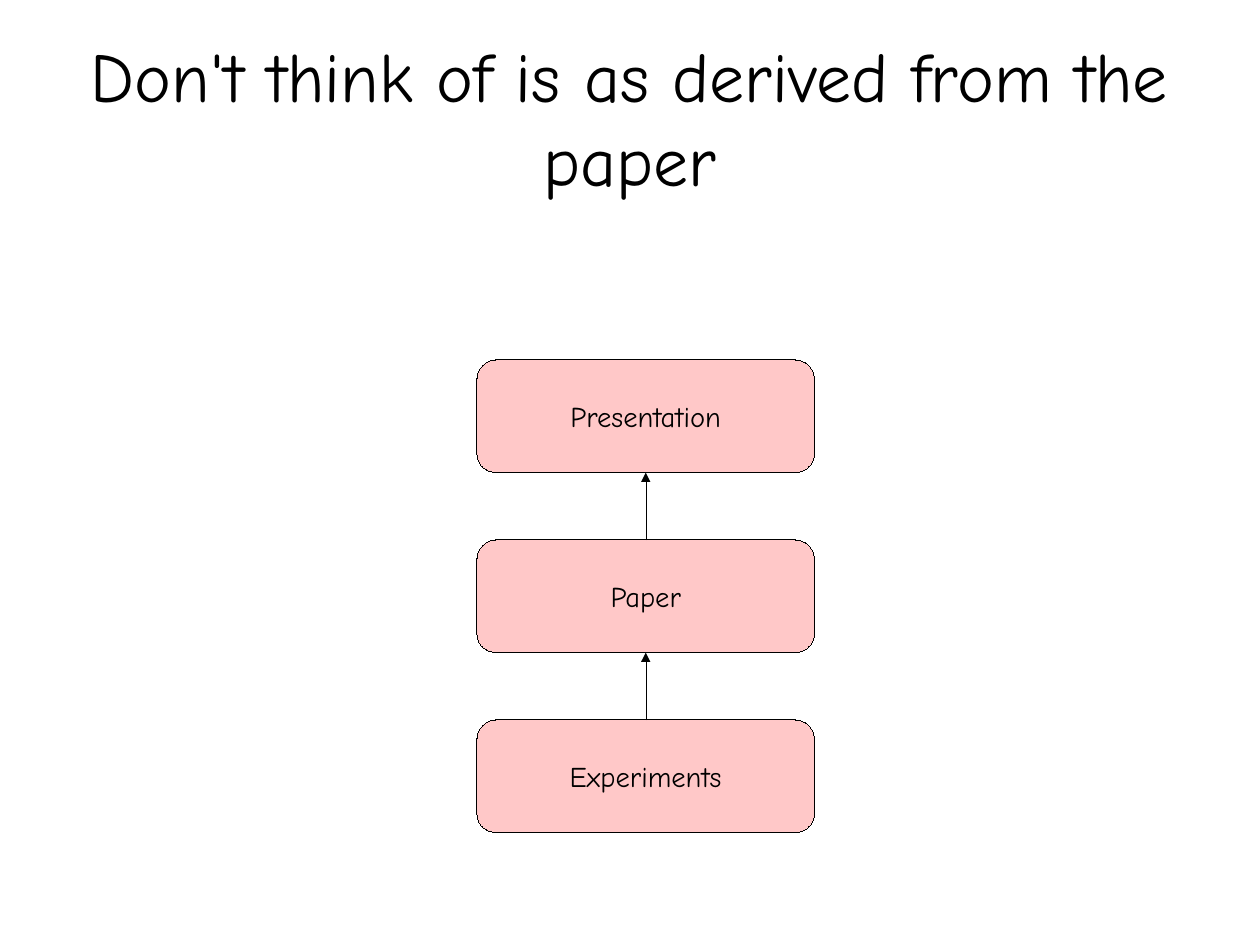
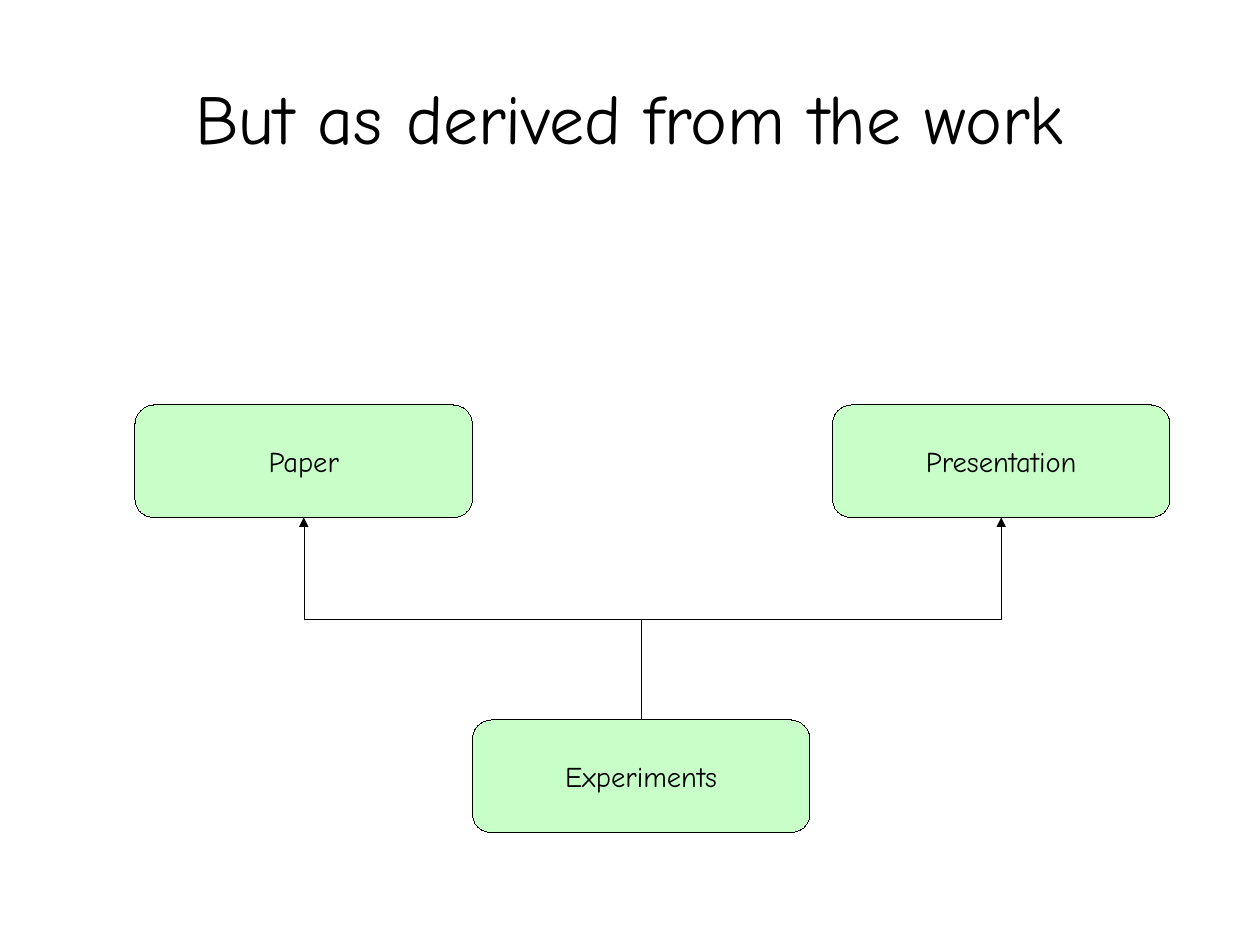
from dataclasses import dataclass

import pptx
import pptx.dml.color
import pptx.dml.line
import pptx.enum.shapes
import pptx.enum.text
import pptx.oxml
import pptx.oxml.ns
import pptx.presentation
import pptx.shapes.autoshape
import pptx.slide
import pptx.text.text
import pptx.util

# Grid of one-centimetre cells
COLUMNS, ROWS = 28, 21
BOX_COLUMNS, BOX_ROWS = 7.5, 2.5

# Shared style
FONT = "Comic Neue"
BLACK, PINK, GREEN = "000000", "FFC8C8", "C8FFC8"
TITLE_SIZE, LABEL_SIZE = 44, 18
TITLE_MARGIN = 0.05 * COLUMNS
TITLE_MIDDLE = 2.59
HAIRLINE = 0.01
CORNER = 0.167
TOP_SITE, BOTTOM_SITE = 0, 2


@dataclass(frozen=True)
class Node:
    label: str
    column: float
    row: float


@dataclass(frozen=True)
class Diagram:
    title: str
    title_rows: float
    fill: str
    nodes: tuple[Node, ...]
    arrows: tuple[tuple[str, str], ...]


DIAGRAMS = (
    Diagram(
        "Don't think of is as derived from the paper", 4.32, PINK,
        tuple(Node(label, 10.6, 8 + 4 * step)
              for step, label in enumerate(("Presentation", "Paper", "Experiments"))),
        (("Experiments", "Paper"), ("Paper", "Presentation")),
    ),
    Diagram(
        "But as derived from the work", 3.25, GREEN,
        (Node("Paper", 3, 9), Node("Presentation", 18.5, 9), Node("Experiments", 10.5, 16)),
        (("Experiments", "Paper"), ("Experiments", "Presentation")),
    ),
)


def cells(count: float) -> pptx.util.Length:
    return pptx.util.Cm(count)


def color(value: str) -> pptx.dml.color.RGBColor:
    return pptx.dml.color.RGBColor.from_string(value)


def draw_hairline(line: pptx.dml.line.LineFormat) -> None:
    line.color.rgb = color(BLACK)
    line.width = pptx.util.Pt(HAIRLINE)


def write(frame: pptx.text.text.TextFrame, text: str, size: int) -> None:
    """Set centred text in the shared font."""
    frame.text = text
    frame.word_wrap = True
    frame.vertical_anchor = pptx.enum.text.MSO_ANCHOR.MIDDLE
    para = frame.paragraphs[0]
    para.alignment = pptx.enum.text.PP_ALIGN.CENTER
    for span in para.runs:
        span.font.name = FONT
        span.font.size = pptx.util.Pt(size)
        span.font.color.rgb = color(BLACK)


def add_title(page: pptx.slide.Slide, text: str, rows: float) -> None:
    title = page.shapes.title
    title.left, title.top = cells(TITLE_MARGIN), cells(TITLE_MIDDLE - rows / 2)
    title.width, title.height = cells(COLUMNS - 2 * TITLE_MARGIN), cells(rows)
    frame = title.text_frame
    frame.margin_left = frame.margin_right = frame.margin_top = frame.margin_bottom = 0
    write(frame, text, TITLE_SIZE)
    frame.auto_size = pptx.enum.text.MSO_AUTO_SIZE.SHAPE_TO_FIT_TEXT


def add_node(page: pptx.slide.Slide, node: Node, fill: str) -> pptx.shapes.autoshape.Shape:
    box = page.shapes.add_shape(
        pptx.enum.shapes.MSO_SHAPE.ROUNDED_RECTANGLE,
        cells(node.column), cells(node.row), cells(BOX_COLUMNS), cells(BOX_ROWS))
    box.adjustments[0] = CORNER
    box.shadow.inherit = False
    box.fill.solid()
    box.fill.fore_color.rgb = color(fill)
    draw_hairline(box.line)
    write(box.text_frame, node.label, LABEL_SIZE)
    return box


def add_arrow(page: pptx.slide.Slide, source: pptx.shapes.autoshape.Shape,
              target: pptx.shapes.autoshape.Shape) -> None:
    """Join the top of source to the bottom of target, with an elbow if they are offset."""
    start_x, start_y = source.left + source.width // 2, source.top
    end_x, end_y = target.left + target.width // 2, target.top + target.height
    kinds = pptx.enum.shapes.MSO_CONNECTOR
    bent = start_x != end_x
    arrow = page.shapes.add_connector(
        kinds.ELBOW if bent else kinds.STRAIGHT, start_x, start_y, end_x, end_y)
    arrow.begin_connect(source, TOP_SITE)
    arrow.end_connect(target, BOTTOM_SITE)
    draw_hairline(arrow.line)
    properties = arrow._element.spPr

    # A quarter turn makes the elbow leave and arrive vertically
    if bent:
        rise, run = abs(start_y - end_y), abs(start_x - end_x)
        arrow.left = (start_x + end_x - rise) // 2
        arrow.top = (start_y + end_y - run) // 2
        arrow.width, arrow.height = rise, run
        frame = properties.find(pptx.oxml.ns.qn("a:xfrm"))
        frame.set("rot", str(270 * 60000))
        frame.set("flipH", "0")
        frame.set("flipV", "1" if end_x < start_x else "0")

    # Arrowhead, and no shadow
    head = pptx.oxml.parse_xml(f'<a:tailEnd {pptx.oxml.ns.nsdecls("a")} type="triangle"/>')
    properties.find(pptx.oxml.ns.qn("a:ln")).append(head)
    properties.append(pptx.oxml.parse_xml(f'<a:effectLst {pptx.oxml.ns.nsdecls("a")}/>'))


def add_diagram(deck: pptx.presentation.Presentation, diagram: Diagram) -> None:
    page = deck.slides.add_slide(deck.slide_layouts.get_by_name("Title Only"))
    add_title(page, diagram.title, diagram.title_rows)
    boxes = {node.label: add_node(page, node, diagram.fill) for node in diagram.nodes}
    for source, target in diagram.arrows:
        add_arrow(page, boxes[source], boxes[target])


def main() -> None:
    deck = pptx.Presentation()
    deck.slide_width, deck.slide_height = cells(COLUMNS), cells(ROWS)
    for diagram in DIAGRAMS:
        add_diagram(deck, diagram)
    deck.save("out.pptx")


if __name__ == "__main__":
    main()
